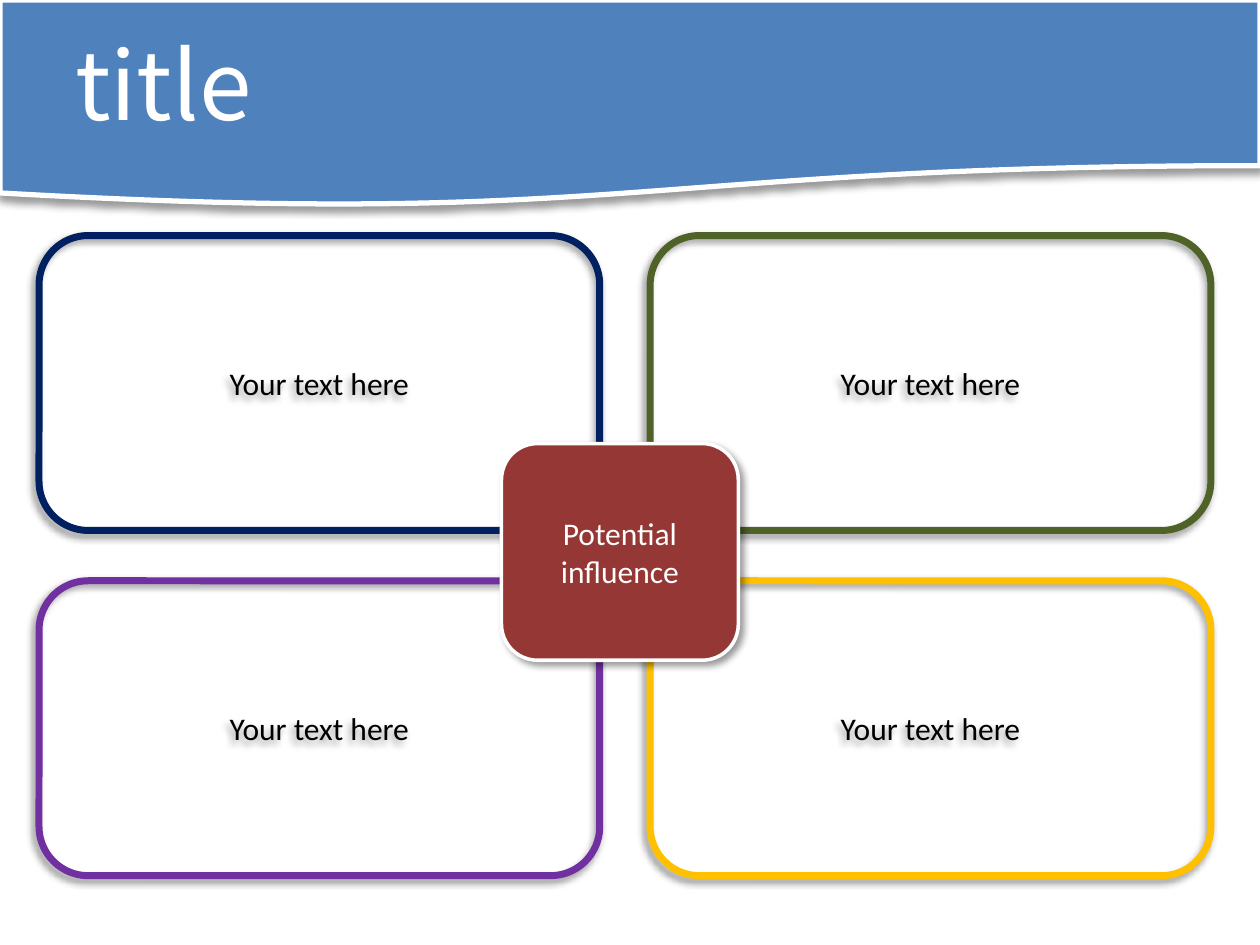
from dataclasses import dataclass
from typing import Optional

from lxml.etree import SubElement
from pptx import Presentation
from pptx.dml.color import RGBColor
from pptx.enum.shapes import MSO_SHAPE
from pptx.enum.text import MSO_ANCHOR, PP_ALIGN
from pptx.oxml.ns import qn
from pptx.util import Inches, Pt

CARD_LEFT, CARD_TOP = 0.31, 1.87
CARD_WIDTH, CARD_HEIGHT = 4.45, 2.34
GAP = 0.4
CARD_COLORS = [["002060", "4F6228"], ["7030A0", "FFC000"]]


@dataclass
class Panel:
    text: str
    left: float
    top: float
    width: float
    height: float
    line_color: str
    line_width: float
    shadow_angle: int
    fill_color: Optional[str] = None
    text_color: str = "FFFFFF"
    preset: MSO_SHAPE = MSO_SHAPE.ROUNDED_RECTANGLE
    font_name: str = "Calibri"
    font_size: int = 18
    alignment: PP_ALIGN = PP_ALIGN.CENTER
    indent: float = 0


def color(hex_value: str) -> RGBColor:
    return RGBColor.from_string(hex_value)


def add_shadow(shape, angle: int) -> None:
    """Give the shape a soft black shadow cast towards the angle in degrees."""
    shape.shadow.inherit = False
    effects = shape._element.spPr.find(qn("a:effectLst"))
    shadow = SubElement(effects, qn("a:outerShdw"), blurRad=str(Pt(4)), dist=str(Pt(3)),
                        dir=str(angle * 60000), algn="ctr", rotWithShape="0")
    black = SubElement(shadow, qn("a:srgbClr"), val="000000")
    SubElement(black, qn("a:alpha"), val="40000")


def add_panel(slide, panel: Panel) -> None:
    shape = slide.shapes.add_shape(panel.preset, Inches(panel.left), Inches(panel.top),
                                   Inches(panel.width), Inches(panel.height))
    if panel.fill_color:
        shape.fill.solid()
        shape.fill.fore_color.rgb = color(panel.fill_color)
    else:
        shape.fill.background()
    shape.line.color.rgb = color(panel.line_color)
    shape.line.width = Pt(panel.line_width)
    add_shadow(shape, panel.shadow_angle)

    text_frame = shape.text_frame
    text_frame.text = panel.text
    text_frame.word_wrap = True
    text_frame.vertical_anchor = MSO_ANCHOR.MIDDLE
    paragraph = text_frame.paragraphs[0]
    paragraph.alignment = panel.alignment
    if panel.indent:
        paragraph.level = 1
        paragraph._p.get_or_add_pPr().set("marL", str(Inches(panel.indent)))
    font = paragraph.runs[0].font
    font.name = panel.font_name
    font.size = Pt(panel.font_size)
    font.color.rgb = color(panel.text_color)


def main() -> None:
    presentation = Presentation()
    presentation.slide_width, presentation.slide_height = Inches(10), Inches(7.5)
    slide = presentation.slides.add_slide(presentation.slide_layouts[6])

    for row, row_colors in enumerate(CARD_COLORS):
        for column, line_color in enumerate(row_colors):
            add_panel(slide, Panel(
                "Your text here",
                CARD_LEFT + column * (CARD_WIDTH + GAP), CARD_TOP + row * (CARD_HEIGHT + GAP),
                CARD_WIDTH, CARD_HEIGHT, line_color, 4, 135, text_color="000000"))

    add_panel(slide, Panel(
        "title", 0, 0, 10, 1.64, "FFFFFF", 3, 90, fill_color="4F81BD",
        preset=MSO_SHAPE.FLOWCHART_DOCUMENT, font_name="Noto Sans CJK JP", font_size=54,
        alignment=PP_ALIGN.LEFT, indent=0.5))
    add_panel(slide, Panel("Potential influence", 3.98, 3.52, 1.88, 1.72, "FFFFFF", 2, 45,
                           fill_color="953735"))

    presentation.save("out.pptx")


if __name__ == "__main__":
    main()
